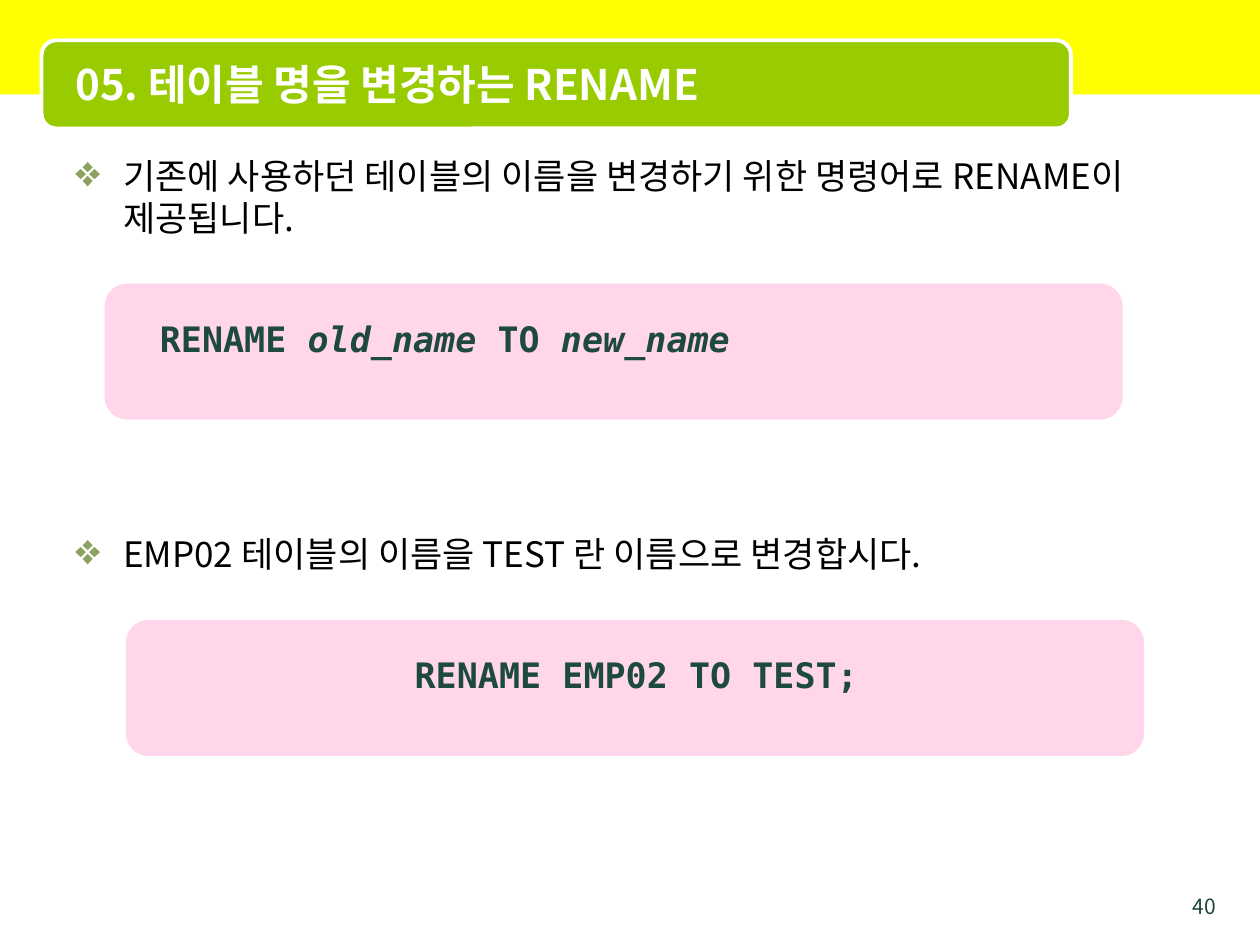
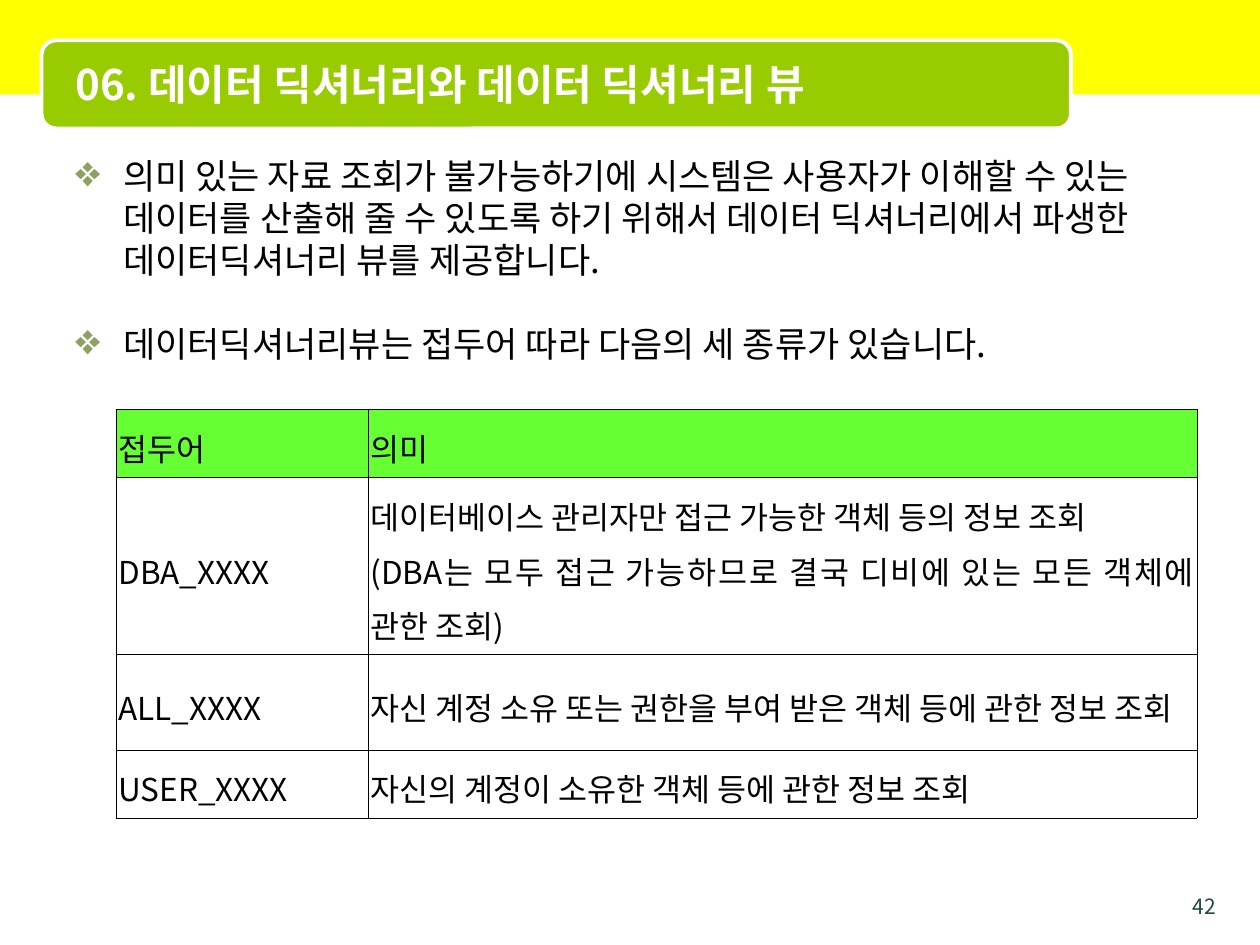
from lxml import etree
from pptx import Presentation
from pptx.dml.color import RGBColor
from pptx.enum.shapes import MSO_SHAPE
from pptx.enum.text import MSO_ANCHOR, PP_ALIGN
from pptx.oxml.ns import qn
from pptx.util import Inches, Pt

RECT, ROUND = MSO_SHAPE.RECTANGLE, MSO_SHAPE.ROUNDED_RECTANGLE
TOP, MIDDLE = MSO_ANCHOR.TOP, MSO_ANCHOR.MIDDLE
LEFT, CENTER, RIGHT, JUST = PP_ALIGN.LEFT, PP_ALIGN.CENTER, PP_ALIGN.RIGHT, PP_ALIGN.JUSTIFY

WIDE, HIGH = 10, 7.5
SANS, MONO = "Noto Sans CJK KR", "DejaVu Sans Mono"
HEX = {
    "band": "FFFF00", "title": "99CC00", "white": "FFFFFF", "black": "000000",
    "ink": "1D4940", "bullet": "8CA35F", "code": "FF99CC", "head": "66FF33",
}
STEP = 24  # line pitch and paragraph gap of the body, in points
BODY = 20

# Points: (text, lines left free above). Codes: (left, top, align, [(text, italic)]).
SLIDES = [
    {
        "page": "40",
        "title": "05. 테이블 명을 변경하는 RENAME",
        "points": [
            ("기존에 사용하던 테이블의 이름을 변경하기 위한 명령어로 RENAME이 제공됩니다.", 0),
            ("EMP02 테이블의 이름을 TEST 란 이름으로 변경합시다.", 7),
        ],
        "codes": [
            (0.83, 2.25, LEFT, [("RENAME ", False), ("old_name", True),
                                (" TO ", False), ("new_name", True)]),
            (1, 4.92, CENTER, [("RENAME EMP02 TO TEST;", False)]),
        ],
    },
    {
        "page": "42",
        "title": "06. 데이터 딕셔너리와 데이터 딕셔너리 뷰",
        "points": [
            ("의미 있는 자료 조회가 불가능하기에 시스템은 사용자가 이해할 수 있는 "
             "데이터를 산출해 줄 수 있도록 하기 위해서 데이터 딕셔너리에서 파생한 "
             "데이터딕셔너리 뷰를 제공합니다.", 0),
            ("데이터딕셔너리뷰는 접두어 따라 다음의 세 종류가 있습니다.", 1),
        ],
        "table": {
            "at": (0.92, 3.25),
            "cols": [2, 6.58],
            "rows": [
                (0.54, ["접두어"], ["의미"]),
                (1.4, ["DBA_XXXX"],
                 ["데이터베이스 관리자만 접근 가능한 객체 등의 정보 조회",
                  "(DBA는 모두 접근 가능하므로 결국 디비에 있는 모든 객체에 관한 조회)"]),
                (0.76, ["ALL_XXXX"],
                 ["자신 계정 소유 또는 권한을 부여 받은 객체 등에 관한 정보 조회"]),
                (0.54, ["USER_XXXX"], ["자신의 계정이 소유한 객체 등에 관한 정보 조회"]),
            ],
        },
    },
]


def color(name):
    return RGBColor.from_string(HEX[name])


def inches(*sizes):
    return [Inches(size) for size in sizes]


def sub(node, tag, **attrs):
    return etree.SubElement(node, qn(tag), attrs)


def tint(node, name):
    """Append a solid fill to an XML node."""
    sub(sub(node, "a:solidFill"), "a:srgbClr", val=HEX[name])


def add_run(para, text, size, tone, bold=False, italic=False, face=SANS):
    run = para.add_run()
    run.text = text
    font = run.font
    font.size, font.bold, font.italic = Pt(size), bold, italic
    font.color.rgb = color(tone)
    font.name = face
    props = run._r.get_or_add_rPr()
    props.set("kern", "0")
    sub(props, "a:ea", typeface=face)


def add_paras(frame, count):
    """Return the frame's first paragraph and as many more as count asks."""
    return [frame.paragraphs[0]] + [frame.add_paragraph() for _ in range(count - 1)]


def add_box(shapes, at, anchor=TOP):
    frame = shapes.add_textbox(*inches(*at)).text_frame
    frame.word_wrap = True
    frame.vertical_anchor = anchor
    return frame


def add_block(shapes, kind, at, tone, alpha=None):
    block = shapes.add_shape(kind, *inches(*at))
    block.shadow.inherit = False
    block.fill.solid()
    block.fill.fore_color.rgb = color(tone)
    block.line.fill.background()
    if alpha:
        node = block._element.spPr.find(qn("a:solidFill"))[0]
        sub(node, "a:alpha", val=str(alpha * 1000))
    return block


def add_frame(shapes, title, page):
    """Draw the band, the title plate and the page number of every slide."""
    add_block(shapes, RECT, (0, 0, WIDE, HIGH / 10), "band")
    plate = add_block(shapes, ROUND, (0.33, 0.32, 8.17, 0.7), "title")
    plate.line.color.rgb = color("white")
    plate.line.width = Pt(2.25)
    foot = add_box(shapes, (9.25, 7.04, 0.5, 0.21)).paragraphs[0]
    foot.alignment = RIGHT
    add_run(foot, page, 12, "ink")
    head = add_box(shapes, (0.5, 0.35, 7.92, 0.62), MIDDLE).paragraphs[0]
    add_run(head, title, 24, "white", bold=True)


def add_points(shapes, points):
    frame = add_box(shapes, (0.5, 1.18, 9, 6.14))
    for para, (text, free) in zip(add_paras(frame, len(points)), points):
        para.line_spacing = Pt(STEP)
        para.space_before = Pt(STEP * free)
        props = para._p.get_or_add_pPr()
        props.set("marL", str(Inches(0.38)))
        props.set("indent", str(-Inches(0.38)))
        sub(sub(props, "a:buClr"), "a:srgbClr", val=HEX["bullet"])
        sub(props, "a:buSzPct", val="125000")
        sub(props, "a:buChar", char="❖")
        add_run(para, text, BODY, "black")


def add_code(shapes, left, top, align, parts):
    group = shapes.add_group_shape().shapes
    add_block(group, ROUND, (left, top, 8.08, 1.08), "code", alpha=40)
    para = add_box(group, (left + 0.34, top + 0.22, 7.42, 0.44)).paragraphs[0]
    para.alignment = align
    for text, italic in parts:
        add_run(para, text, BODY, "ink", True, italic, MONO)


def add_borders(cell):
    props = cell._tc.get_or_add_tcPr()
    for spot, side in enumerate(("a:lnL", "a:lnR", "a:lnT", "a:lnB")):
        line = sub(props, side, w=str(Pt(0.11)))
        tint(line, "black")
        props.insert(spot, line)


def fill_cell(cell, lines, head):
    if head:
        cell.fill.solid()
        cell.fill.fore_color.rgb = color("head")
    else:
        cell.fill.background()
    cell.vertical_anchor = MIDDLE
    cell.margin_left = cell.margin_right = Inches(0.02)
    cell.margin_top = cell.margin_bottom = Inches(0.05)
    for para, text in zip(add_paras(cell.text_frame, len(lines)), lines):
        para.alignment = JUST
        para.line_spacing = 1.2
        add_run(para, text, 18, "black")
    add_borders(cell)


def add_grid(shapes, at, cols, rows):
    size = sum(cols), sum(row[0] for row in rows)
    table = shapes.add_table(len(rows), len(cols), *inches(*at, *size)).table
    table.first_row = table.horz_banding = False
    for col, width in zip(table.columns, cols):
        col.width = Inches(width)
    for r, (height, *cells) in enumerate(rows):
        table.rows[r].height = Inches(height)
        for c, lines in enumerate(cells):
            fill_cell(table.cell(r, c), lines, head=r == 0)


def main():
    deck = Presentation()
    deck.slide_width, deck.slide_height = inches(WIDE, HIGH)
    for data in SLIDES:
        shapes = deck.slides.add_slide(deck.slide_layouts[6]).shapes
        add_frame(shapes, data["title"], data["page"])
        add_points(shapes, data["points"])
        for code in data.get("codes", []):
            add_code(shapes, *code)
        if "table" in data:
            add_grid(shapes, **data["table"])
    deck.save("out.pptx")


if __name__ == "__main__":
    main()
